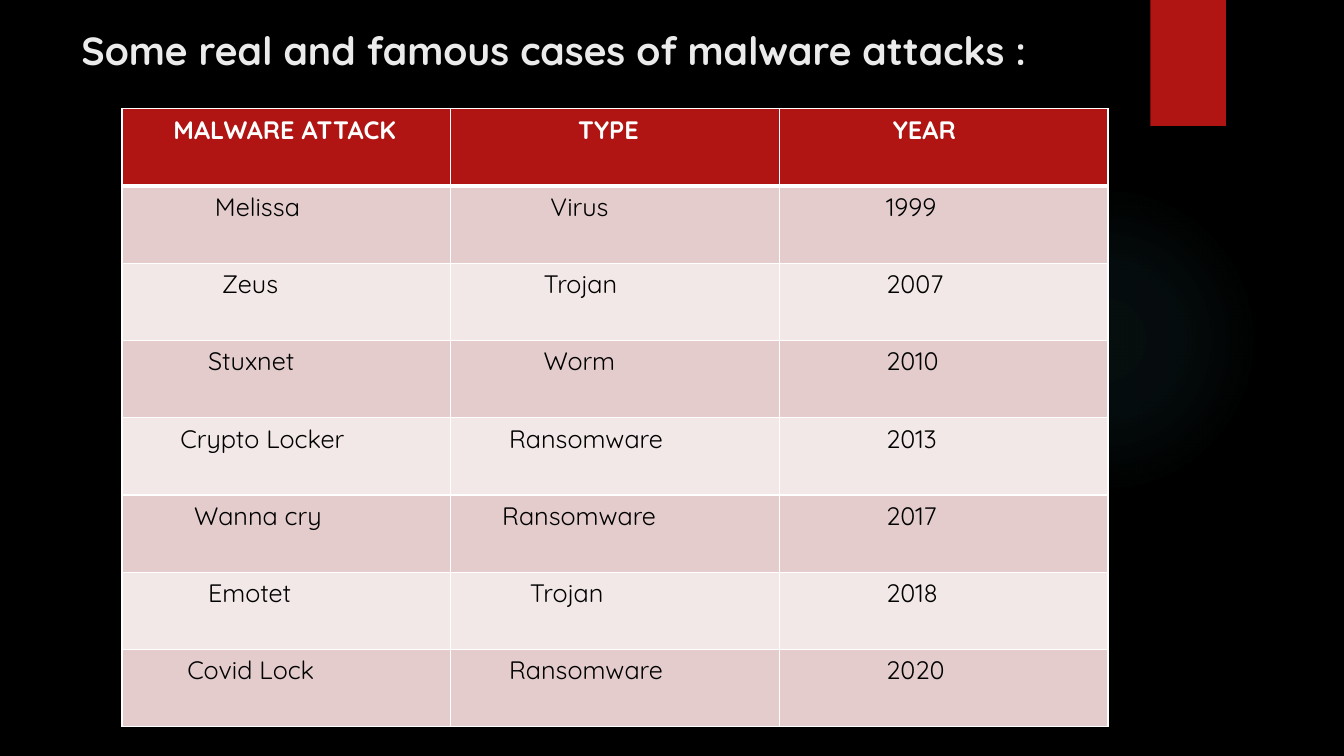
from pptx import Presentation
from pptx.dml.color import RGBColor
from pptx.enum.shapes import MSO_SHAPE as SHAPE
from pptx.oxml import parse_xml
from pptx.oxml.ns import nsdecls
from pptx.util import Inches, Pt

COLORS = {"back": "000000", "red": "B01513", "glow": "50B9C1", "title": "EBEBEB",
          "white": "FFFFFF", "black": "000000", "odd": "E4CCCC", "even": "F2E8E7"}
FONT = "Quicksand"
TITLE = "Some real and famous cases of malware attacks :"
ROWS = [
    ("MALWARE ATTACK", "TYPE", "YEAR"),
    ("Melissa", "Virus", "1999"),
    ("Zeus", "Trojan", "2007"),
    ("Stuxnet", "Worm", "2010"),
    ("Crypto Locker", "Ransomware", "2013"),
    ("Wanna cry", "Ransomware", "2017"),
    ("Emotet", "Trojan", "2018"),
    ("Covid Lock", "Ransomware", "2020"),
]
INDENT_STEPS = [(6, 17, 15), (12, 13, 14), (13, 12, 14), (11, 12, 14),
                (7, 7, 14), (9, 6, 14), (11, 10, 14), (8, 7, 14)]
INDENT_BASE, INDENT_STEP = 0.1, 0.0685
GLOW_STOPS = [(0, 7), (36, 6), (69, 0)]
TABLE_BOX = (1.21, 1.08, 9.78, 6.13)


def rgb(name):
    return RGBColor.from_string(COLORS[name])


def add_plain(slide, kind, box):
    s = slide.shapes.add_shape(kind, *map(Inches, box))
    s.shadow.inherit = False
    s.line.fill.background()
    return s


def add_glow(slide):
    s = add_plain(slide, SHAPE.OVAL, (9.41, 1.83, 3.08, 3.08))
    stops = "".join(
        f'<a:gs pos="{pos * 1000}"><a:srgbClr val="{COLORS["glow"]}">'
        f'<a:alpha val="{alpha * 1000}"/></a:srgbClr></a:gs>' for pos, alpha in GLOW_STOPS)
    s.fill.background()
    no_fill = s._element.spPr.find("{*}noFill")
    s._element.spPr.replace(no_fill, parse_xml(
        f'<a:gradFill {nsdecls("a")}><a:gsLst>{stops}</a:gsLst><a:path path="circle">'
        '<a:fillToRect l="50000" t="50000" r="50000" b="50000"/></a:path></a:gradFill>'))


def add_ribbon(slide):
    s = add_plain(slide, SHAPE.RECTANGLE, (11.41, 0, 0.75, 1.25))
    s.fill.solid()
    s.fill.fore_color.rgb = rgb("red")
    s._element.spPr.find("{*}effectLst").append(parse_xml(
        f'<a:outerShdw {nsdecls("a")} blurRad="{Pt(3)}" dist="{Pt(2)}" dir="5400000">'
        f'<a:srgbClr val="{COLORS["black"]}"><a:alpha val="45000"/></a:srgbClr></a:outerShdw>'))


def set_text(tf, text, size, color, bold):
    tf.text = text
    r = tf.paragraphs[0].runs[0]
    r.font.name, r.font.size, r.font.bold = FONT, Pt(size), bold
    r.font.color.rgb = rgb(color)


def set_borders(cell, widths):
    tcPr = cell._tc.get_or_add_tcPr()
    for i, (side, width) in enumerate(widths.items()):
        tcPr.insert(i, parse_xml(
            f'<a:ln{side} {nsdecls("a")} w="{Pt(width)}"><a:solidFill>'
            f'<a:srgbClr val="{COLORS["white"]}"/></a:solidFill></a:ln{side}>'))


def add_attack_table(slide):
    table = slide.shapes.add_table(len(ROWS), len(ROWS[0]), *map(Inches, TABLE_BOX)).table
    for i, (texts, steps) in enumerate(zip(ROWS, INDENT_STEPS)):
        header = i == 0
        fill = "red" if header else "odd" if i % 2 else "even"
        for j, (text, step) in enumerate(zip(texts, steps)):
            cell = table.cell(i, j)
            cell.margin_left = Inches(INDENT_BASE + INDENT_STEP * step)
            cell.fill.solid()
            cell.fill.fore_color.rgb = rgb(fill)
            set_text(cell.text_frame, text, 18, "white" if header else "black", header)
            set_borders(cell, {"L": 1, "R": 1, "T": 3 if i == 1 else 1, "B": 3 if header else 1})


def main():
    """Build the slide of famous malware attacks."""
    prs = Presentation()
    prs.slide_width, prs.slide_height = Inches(13.33), Inches(7.5)
    slide = prs.slides.add_slide(prs.slide_layouts[6])
    slide.background.fill.solid()
    slide.background.fill.fore_color.rgb = rgb("back")
    add_glow(slide)
    add_ribbon(slide)
    title = slide.shapes.add_textbox(*map(Inches, (0.71, 0.21, 10.29, 0.68)))
    title.text_frame.word_wrap = True
    set_text(title.text_frame, TITLE, 28, "title", True)
    add_attack_table(slide)
    prs.save("out.pptx")


if __name__ == "__main__":
    main()
